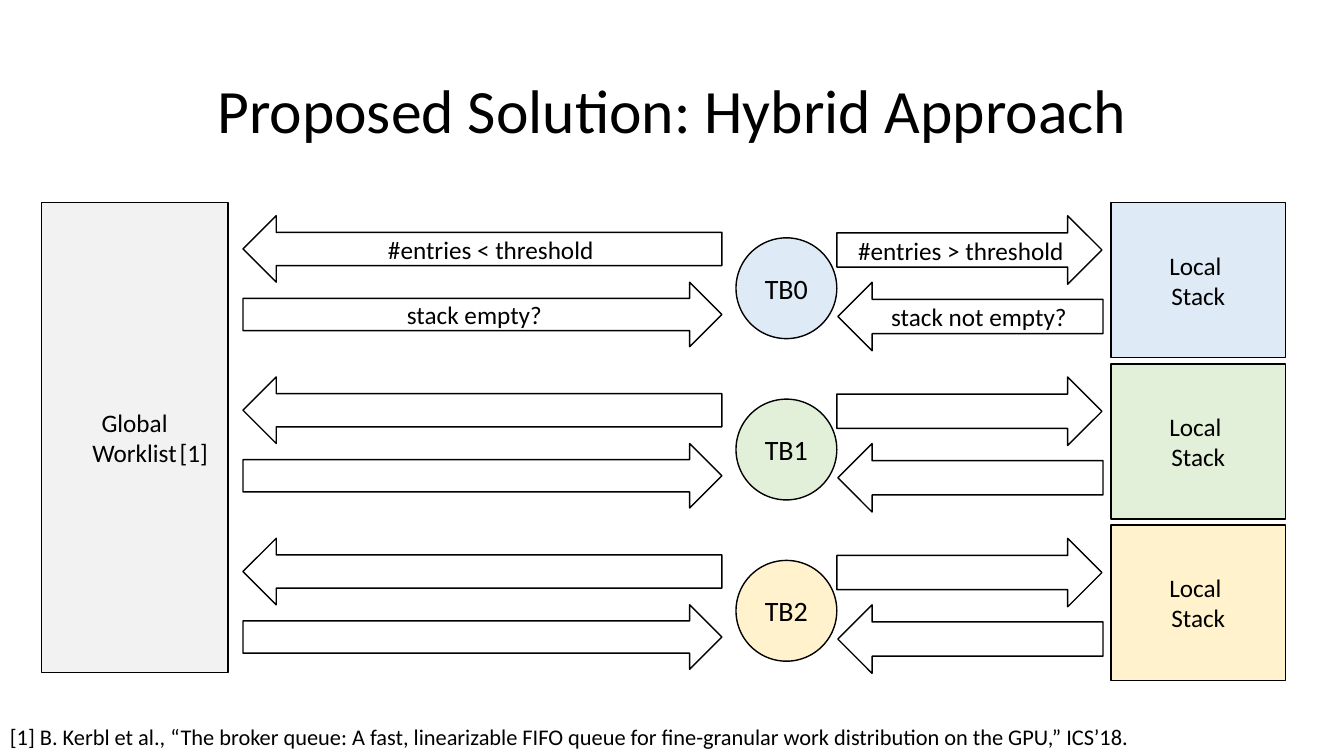
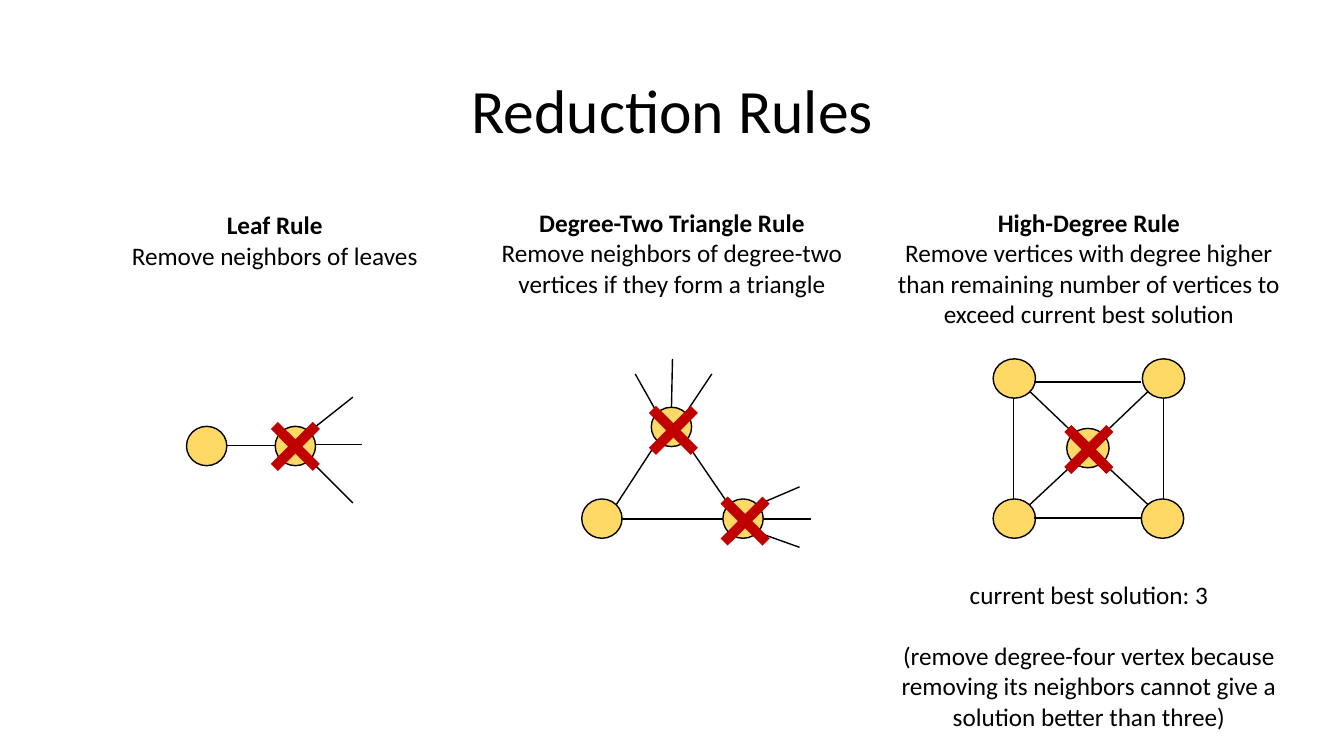
import dataclasses

import lxml.etree
import pptx
import pptx.dml.color
import pptx.enum.shapes
import pptx.enum.text
import pptx.oxml.ns
import pptx.util

Inches = pptx.util.Inches
SHAPE = pptx.enum.shapes.MSO_SHAPE
ALIGN = pptx.enum.text.PP_ALIGN
ANCHOR = pptx.enum.text.MSO_ANCHOR


@dataclasses.dataclass(frozen=True)
class Theme:
    font: str = "Calibri"
    ink: str = "000000"
    paper: str = "FFFFFF"
    gray: str = "F2F2F2"
    blue: str = "DEEBF7"
    green: str = "E2F0D9"
    cream: str = "FFF2CC"
    gold: str = "FFD966"
    red: str = "C00000"
    title: int = 44
    node: int = 20
    body: int = 18
    note: int = 16
    outline: int = 1


theme = Theme()
rgb = pptx.dml.color.RGBColor.from_string


def write(frame, lines, size, align=ALIGN.CENTER):
    """Fill a text frame with one paragraph per line."""
    frame.text = "\n".join(lines)
    for para in frame.paragraphs:
        para.alignment = align
        para.font.name = theme.font
        para.font.size = pptx.util.Pt(size)
        para.font.color.rgb = rgb(theme.ink)


def draw(shapes, kind, place, fill, lines=(), size=theme.body):
    """Add a filled, outlined shape with optional centred text."""
    shape = shapes.add_shape(kind, *map(Inches, place))
    shape.shadow.inherit = False
    shape.fill.solid()
    shape.fill.fore_color.rgb = rgb(fill)
    shape.line.color.rgb = rgb(theme.ink)
    shape.line.width = pptx.util.Pt(theme.outline)
    if lines:
        write(shape.text_frame, lines, size)
        shape.text_frame.vertical_anchor = ANCHOR.MIDDLE
    return shape


deck = pptx.Presentation()
deck.slide_width, deck.slide_height = Inches(13.33), Inches(7.5)

# Pages with their shared title style
pages = []
for heading in ("Proposed Solution: Hybrid Approach", "Reduction Rules"):
    page = deck.slides.add_slide(deck.slide_layouts[5])
    title = page.shapes.title
    title.left, title.top, title.width, title.height = map(Inches, (0.92, 0.4, 11.5, 1.45))
    write(title.text_frame, [heading], theme.title)
    title.text_frame.vertical_anchor = ANCHOR.MIDDLE
    title.text_frame.paragraphs[0].line_spacing = 0.9
    pages.append(page)
hybrid, rules = pages

# Hybrid approach: global worklist
draw(hybrid.shapes, SHAPE.RECTANGLE, (0.41, 2.01, 1.85, 4.66), theme.gray, ["Global", "Worklist"])

# Hybrid approach: one row per thread block, arrows labelled in the first row
row_pitch = 1.6
arrows = [
    (SHAPE.LEFT_ARROW, 2.41, 2.14, 4.75, 0.66, "#entries < threshold"),
    (SHAPE.RIGHT_ARROW, 2.41, 2.8, 4.75, 0.64, "stack empty?"),
    (SHAPE.RIGHT_ARROW, 8.3, 2.14, 2.63, 0.68, "#entries > threshold"),
    (SHAPE.LEFT_ARROW, 8.31, 2.8, 2.63, 0.68, "stack not empty?"),
]
for row, colour in enumerate((theme.blue, theme.green, theme.cream)):
    drop = row * row_pitch
    draw(hybrid.shapes, SHAPE.OVAL, (7.3, 2.36 + drop, 1, 1), colour, [f"TB{row}"], theme.node)
    draw(hybrid.shapes, SHAPE.RECTANGLE, (11.02, 2.01 + drop, 1.73, 1.54), colour,
         ["Local\u00a0", "Stack"])
    for kind, left, top, width, height, label in arrows:
        draw(hybrid.shapes, kind, (left, top + drop, width, height), theme.paper,
             [label] if row == 0 else ())

# Reduction rules: graphs as vertex corners, edge ends and cross corners
graphs = [
    (0.4, [(1.85, 4.23), (2.73, 4.23)],
     [(3.07, 4.56, 3.5, 4.99), (2.25, 4.42, 2.73, 4.42),
      (3.07, 4.28, 3.5, 3.94), (3.59, 4.41, 3.13, 4.41)],
     [(2.53, 4.03)]),
    (0.4, [(7.17, 4.95), (5.77, 4.95), (6.46, 4.04)],
     [(6.16, 5.15, 7.17, 5.15), (6.8, 4.38, 7.23, 5.01), (6.52, 4.38, 6.11, 5.01),
      (7.06, 3.71, 6.8, 4.1), (6.67, 3.56, 6.66, 4.04), (6.3, 3.71, 6.52, 4.1),
      (7.93, 4.83, 7.51, 5.01), (8.04, 5.15, 7.57, 5.15), (7.93, 5.43, 7.51, 5.28)],
     [(6.28, 3.87), (6.99, 4.77)]),
    (0.42, [(9.85, 3.56), (11.33, 3.56), (11.32, 4.95), (9.85, 4.95), (10.58, 4.25)],
     [(10.05, 3.95, 10.05, 4.95), (10.26, 5.14, 11.32, 5.14),
      (11.54, 3.95, 11.54, 4.95), (10.26, 3.79, 11.32, 3.79),
      (10.94, 4.59, 11.39, 5.01), (10.21, 3.88, 10.66, 4.31),
      (10.66, 4.59, 10.21, 5.01), (11.39, 3.88, 10.94, 4.31)],
     [(10.4, 4.06)]),
]
for vertex_width, vertices, edges, crosses in graphs:
    graph = rules.shapes.add_group_shape()
    for left, top in vertices:
        draw(graph.shapes, SHAPE.OVAL, (left, top, vertex_width, 0.39), theme.gold)
    for ends in edges:
        edge = graph.shapes.add_connector(
            pptx.enum.shapes.MSO_CONNECTOR.STRAIGHT, *map(Inches, ends))
        edge.line.color.rgb = rgb(theme.ink)
        edge.line.width = pptx.util.Pt(theme.outline)
        lxml.etree.SubElement(edge.element.spPr, pptx.oxml.ns.qn("a:effectLst"))
    for left, top in crosses:
        cross = draw(rules.shapes, SHAPE.MATH_MULTIPLY, (left, top, 0.8, 0.8), theme.red)
        cross.adjustments[0] = 0.125
        cross.line.fill.background()

# Text boxes: page, place, lines, size, alignment, wrap, bold first line, gap between lines
captions = [
    (hybrid, (0, 7.12, 13.33, 0.37),
     ["[1] B. Kerbl et al., “The broker queue: A fast, linearizable FIFO queue for "
      "fine-granular work distribution on the GPU,” ICS‘18.".replace("‘", "’")],
     theme.note, ALIGN.LEFT, True, False, 0),
    (hybrid, (1.68, 4.29, 0.54, 0.4), ["[1] "], theme.body, ALIGN.CENTER, False, False, 0),
    (rules, (0.97, 2.03, 3.51, 0.71), ["Leaf Rule", "Remove neighbors of leaves"],
     theme.body, ALIGN.CENTER, True, True, 0),
    (rules, (4.7, 2.01, 3.93, 1.01),
     ["Degree-Two Triangle Rule",
      "Remove neighbors of degree-two vertices if they form a triangle"],
     theme.body, ALIGN.CENTER, True, True, 0),
    (rules, (8.78, 2.01, 4.04, 1.31),
     ["High-Degree Rule",
      "Remove vertices with degree higher than remaining number of vertices "
      "to exceed current best solution"],
     theme.body, ALIGN.CENTER, True, True, 0),
    (rules, (8.78, 5.7, 4.04, 1.62),
     ["current best solution: 3",
      "(remove degree-four vertex because removing its neighbors cannot give "
      "a solution better than three)"],
     theme.body, ALIGN.CENTER, True, False, 22),
]
for page, place, lines, size, align, wrap, bold, gap in captions:
    box = page.shapes.add_textbox(*map(Inches, place))
    frame = box.text_frame
    write(frame, lines, size, align)
    frame.word_wrap = wrap
    frame.auto_size = pptx.enum.text.MSO_AUTO_SIZE.SHAPE_TO_FIT_TEXT
    frame.paragraphs[0].font.bold = bold
    frame.paragraphs[-1].space_before = pptx.util.Pt(gap)

deck.save("out.pptx")
